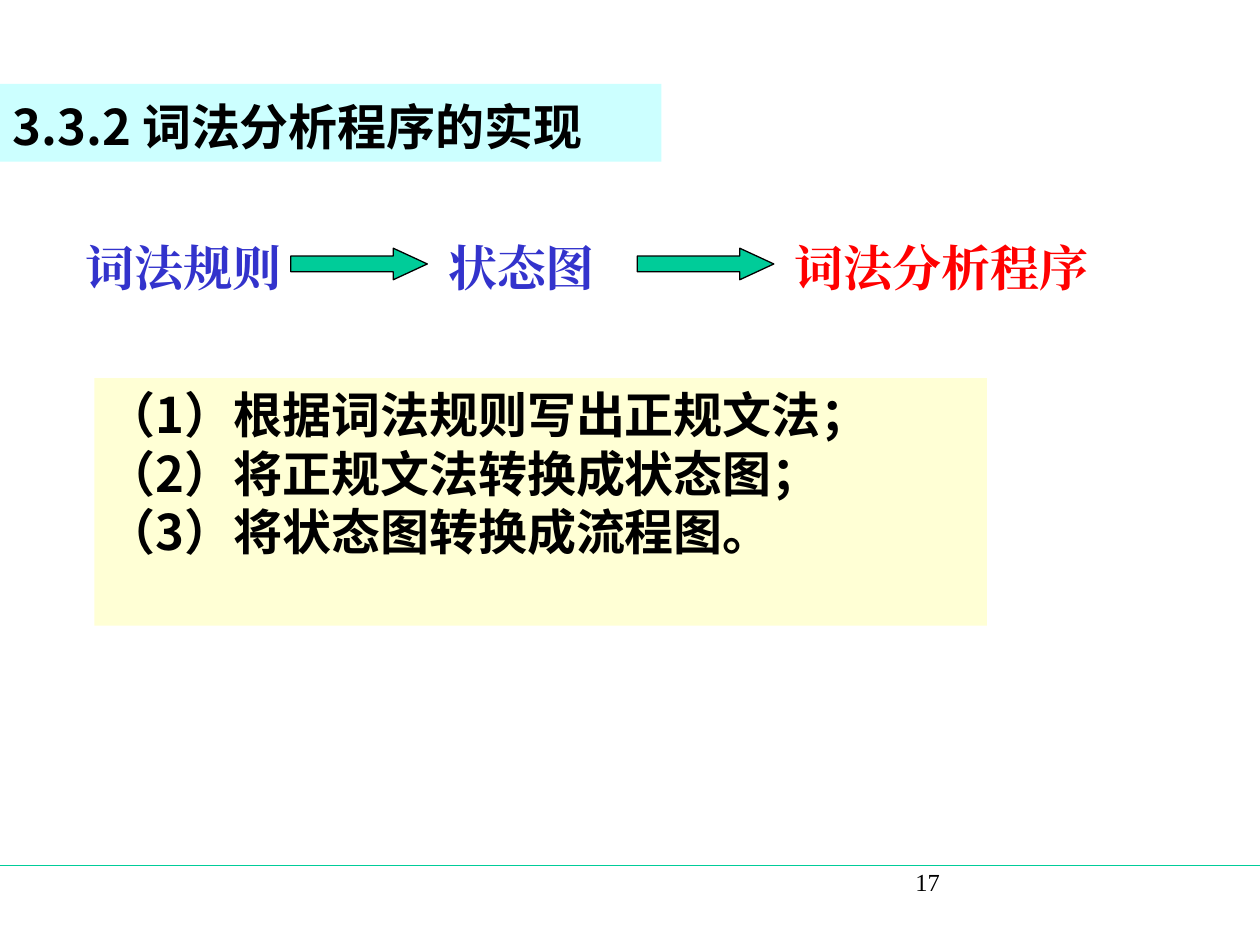
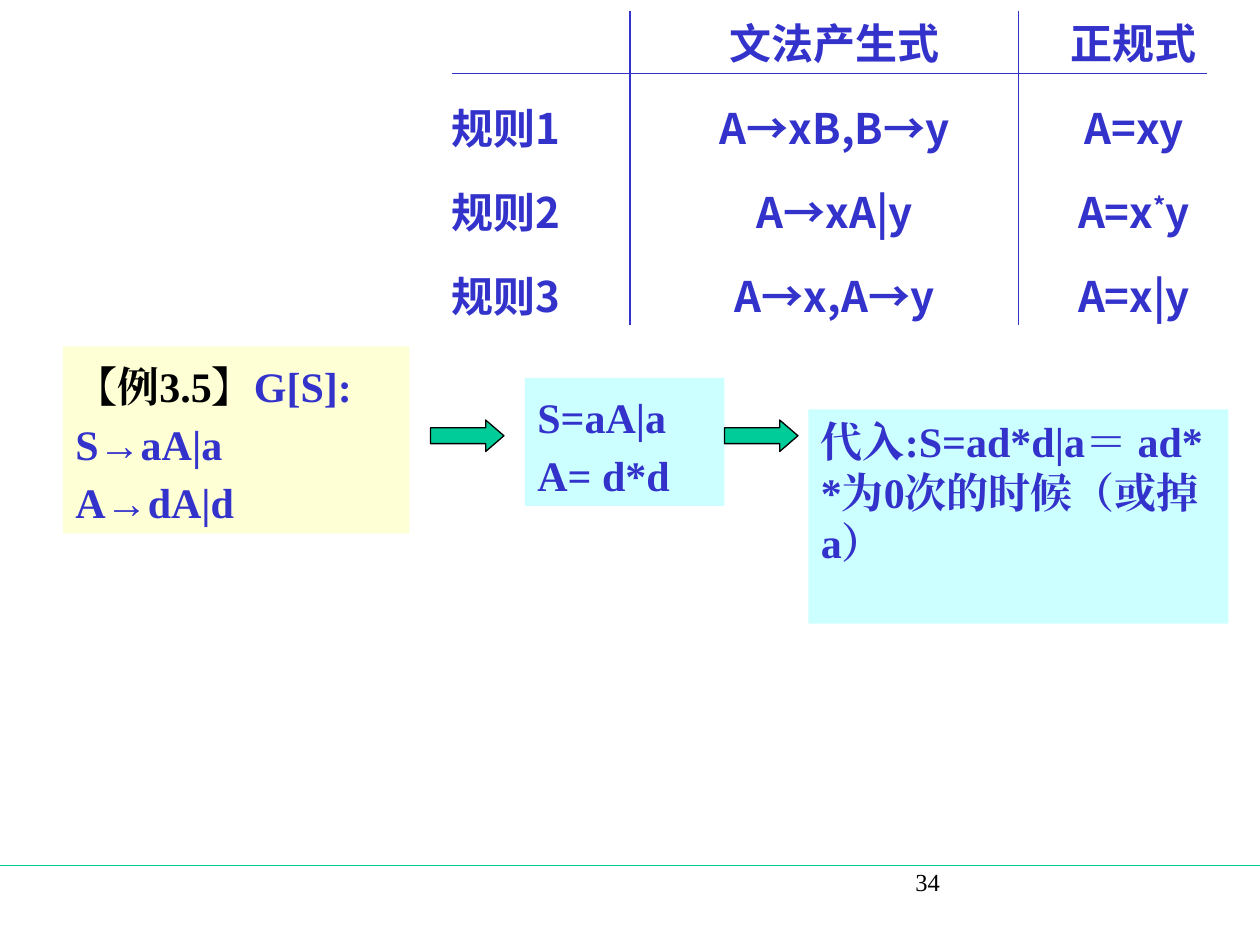
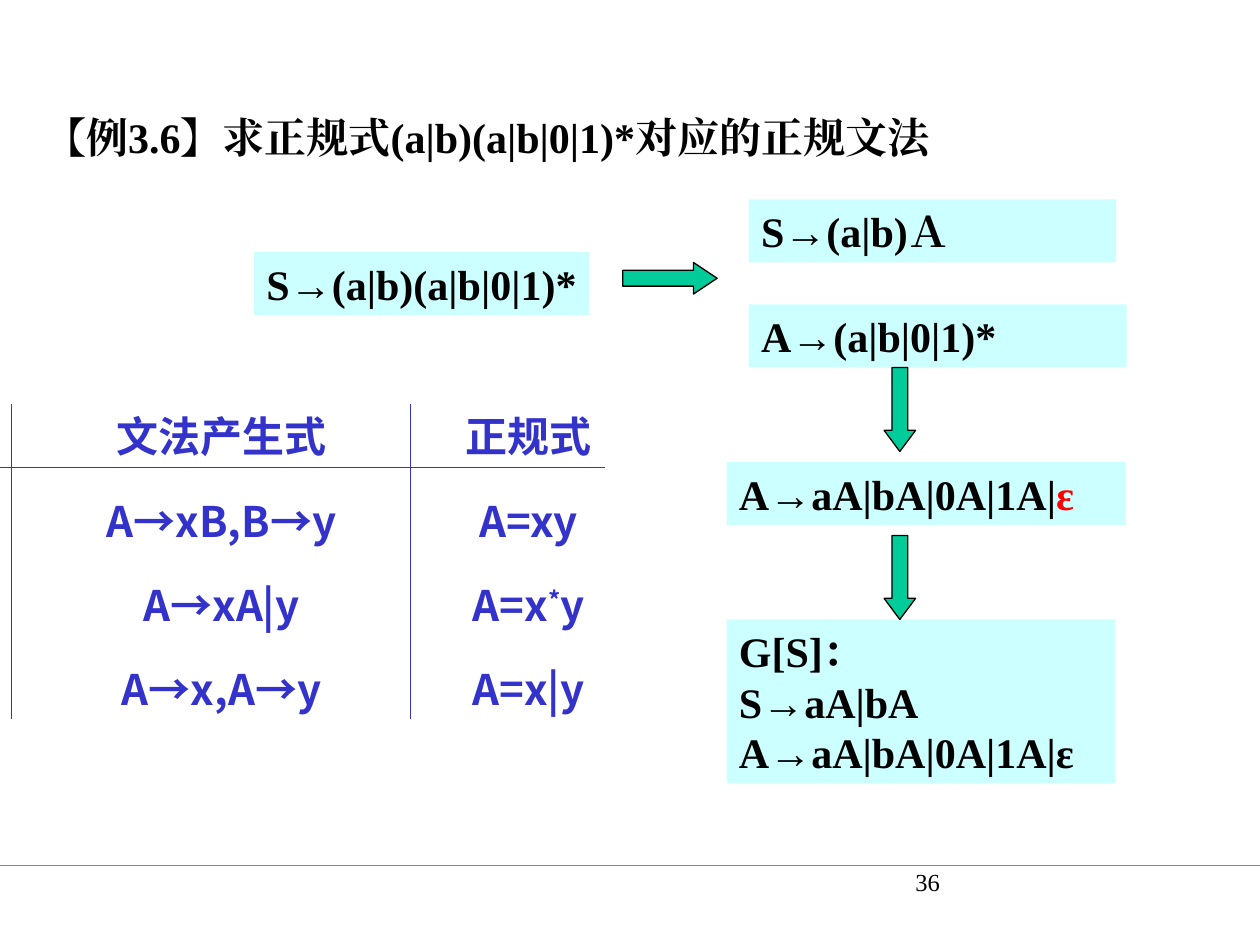
"""Build three slides on lexical analysis, regular grammars and regular expressions."""
import lxml.etree
import pptx
import pptx.dml.color
import pptx.enum.shapes
import pptx.enum.text
import pptx.oxml.ns
import pptx.util

UNIT = pptx.util.Inches(1) / 12  # grid of 120 columns by 90 rows
COLUMNS, ROWS = 120, 90
BLACK, BLUE, RED, GREEN = "000000", "3333CC", "FF0000", "00CC99"
CYAN, CREAM = "CCFFFF", "FFFFD5"
SERIF, SANS = "Times New Roman", "Noto Sans CJK SC"
NO_GRID_STYLE = "{2D5ABB26-0587-4C30-8999-92F81FD0307C}"
MSO_SHAPE = pptx.enum.shapes.MSO_SHAPE
ALIGN = pptx.enum.text.PP_ALIGN
ANCHOR = pptx.enum.text.MSO_ANCHOR
color_of = pptx.dml.color.RGBColor.from_string
qn = pptx.oxml.ns.qn


def write(frame, text, size=24, font=SERIF, color=BLACK, bold=True,
          align=ALIGN.LEFT, spacing=1.0, baseline=None):
    """Continue the last paragraph of a frame, starting a new one at each line break."""
    for number, line in enumerate(text.split("\n")):
        paragraph = frame.add_paragraph() if number else frame.paragraphs[-1]
        paragraph.alignment = align
        paragraph.line_spacing = spacing
        run = paragraph.add_run()
        run.text = line
        run.font.size = pptx.util.Pt(size)
        run.font.bold = bold
        run.font.name = font
        run.font.color.rgb = color_of(color)
        properties = run.font._element
        properties.set("lang", "zh-CN")
        if baseline:
            properties.set("baseline", str(baseline))
        lxml.etree.SubElement(properties, qn("a:ea"), typeface=font)


def draw(slide, box, kind=None, fill=None, outline=None):
    """Add a preset shape, or a plain text box without a kind, at a place on the grid."""
    place = [round(length * UNIT) for length in box]
    if kind is None:
        shape = slide.shapes.add_textbox(*place)
    else:
        shape = slide.shapes.add_shape(kind, *place)
        shape.shadow.inherit = False
        shape.fill.solid()
        shape.fill.fore_color.rgb = color_of(fill)
        if outline:
            shape.line.color.rgb = color_of(outline)
            shape.line.width = pptx.util.Pt(0.75)
        else:
            shape.line.fill.background()
    shape.text_frame.word_wrap = True
    shape.text_frame.vertical_anchor = ANCHOR.TOP
    return shape


presentation = pptx.Presentation()
presentation.slide_width = round(COLUMNS * UNIT)
presentation.slide_height = round(ROWS * UNIT)
title_only, blank = presentation.slide_layouts[5], presentation.slide_layouts[6]
slides = [presentation.slides.add_slide(layout) for layout in (title_only, blank, title_only)]
steps_slide, expression_slide, grammar_slide = slides

# Footers
footer_top = round(82.4 * UNIT)
for slide, number in zip(slides, ("17", "34", "36")):
    rule = slide.shapes.add_connector(pptx.enum.shapes.MSO_CONNECTOR.STRAIGHT,
                                      0, footer_top, presentation.slide_width, footer_top)
    rule.line.color.rgb = color_of(GREEN)
    rule.line.width = pptx.util.Pt(0.75)
    lxml.etree.SubElement(rule._element.spPr, qn("a:effectLst"))
    write(draw(slide, (86, 82, 25, 6)).text_frame, number, size=14, bold=False)

# Titles
for slide, box, text, size, font, anchor in (
    (steps_slide, (0, 8, 63, 7.4), "3.3.2 词法分析程序的实现", 28, SANS, ANCHOR.BOTTOM),
    (grammar_slide, (3, 10, 105, 6), "【例3.6】求正规式(a|b)(a|b|0|1)*对应的正规文法",
     24, SERIF, ANCHOR.TOP),
):
    title = slide.shapes.title
    title.left, title.top, title.width, title.height = [round(length * UNIT) for length in box]
    title.text_frame.auto_size = pptx.enum.text.MSO_AUTO_SIZE.NONE
    title.text_frame.word_wrap = True
    title.text_frame.vertical_anchor = anchor
    write(title.text_frame, text, size=size, font=font)
steps_slide.shapes.title.fill.solid()
steps_slide.shapes.title.fill.fore_color.rgb = color_of(CYAN)

# Chain from rules to program
for left, stage, color in ((7, "词法规则", BLUE), (41.5, "状态图", BLUE),
                           (74.5, "词法分析程序", RED)):
    label = draw(steps_slide, (left, 22, 4.67 * len(stage) + 3, 6.8))
    write(label.text_frame, stage, size=28, color=color)

# Filled boxes
for slide, box, fill, text, style in (
    (steps_slide, (9, 36, 85, 23.6), CREAM,
     "（1）根据词法规则写出正规文法；\n（2）将正规文法转换成状态图；\n（3）将状态图转换成流程图。",
     {"size": 28, "font": SANS}),
    (expression_slide, (6, 33, 33, 17.8), CREAM, "【例3.5】", {"spacing": 1.15}),
    (expression_slide, (50, 36, 19, 12.2), CYAN, "S=aA|a\nA= d*d",
     {"color": BLUE, "spacing": 1.15}),
    (expression_slide, (77, 39, 40, 20.4), CYAN,
     "代入:S=ad*d|a＝ ad*\n*为0次的时候（或掉a）", {"color": BLUE}),
    (grammar_slide, (24.2, 24, 31.9, 6), CYAN, "S→(a|b)(a|b|0|1)*", {"align": ALIGN.CENTER}),
    (grammar_slide, (71.3, 19, 35, 6), CYAN, "S→(a|b)Ａ", {}),
    (grammar_slide, (71.3, 29, 36, 6), CYAN, "A→(a|b|0|1)*", {}),
    (grammar_slide, (69.2, 44, 38, 6), CYAN, "A→aA|bA|0A|1A|", {}),
    (grammar_slide, (69.2, 59, 37, 15.6), CYAN, "G[S]：\nS→aA|bA\nA→aA|bA|0A|1A|ε", {}),
):
    frame = draw(slide, box, MSO_SHAPE.RECTANGLE, fill).text_frame
    write(frame, text, **style)
    if text == "【例3.5】":
        write(frame, "G[S]:\nS→aA|a\nA→dA|d", color=BLUE, spacing=1.15)
    elif text.endswith("1A|"):
        write(frame, "ε", color=RED)

# Block arrows
for slide, box, kind, head in (
    (steps_slide, (27.7, 23.64, 13, 3), MSO_SHAPE.RIGHT_ARROW, 1.08),
    (steps_slide, (60.7, 23.64, 13, 3), MSO_SHAPE.RIGHT_ARROW, 1.08),
    (expression_slide, (41, 40, 7, 3), MSO_SHAPE.RIGHT_ARROW, 0.58),
    (expression_slide, (69, 40, 7, 3), MSO_SHAPE.RIGHT_ARROW, 0.58),
    (grammar_slide, (59.3, 25, 9, 3), MSO_SHAPE.RIGHT_ARROW, 0.75),
    (grammar_slide, (84.2, 35, 3, 8), MSO_SHAPE.DOWN_ARROW, 0.67),
    (grammar_slide, (84.2, 51, 3, 8), MSO_SHAPE.DOWN_ARROW, 0.67),
):
    arrow = draw(slide, box, kind, GREEN, BLACK)
    arrow.adjustments[0], arrow.adjustments[1] = 0.5, head

# Conversion tables
conversions = (("文法产生式", "正规式"), ("A→xB,B→y", "A=xy"),
               ("A→xA|y", "A=x*y"), ("A→x,A→y", "A=x|y"))
row_heights = (6, 8, 8, 8)
body_indents = (0, 2, 4)
for slide, left, top, widths, labels in (
    (expression_slide, 43, 1, (17, 37, 18), ("", "规则1", "规则2", "规则3")),
    (grammar_slide, 0, 38.5, (1.1, 38, 18.5), ("", "", "", "")),
):
    place = [round(length * UNIT) for length in (left, top, sum(widths), sum(row_heights))]
    table_frame = slide.shapes.add_table(len(row_heights), len(widths), *place)
    table = table_frame.table
    table.first_row = table.horz_banding = False
    next(table_frame._element.iter(qn("a:tableStyleId"))).text = NO_GRID_STYLE
    for column, width in zip(table.columns, widths):
        column.width = round(width * UNIT)
    for row_index, (label, conversion) in enumerate(zip(labels, conversions)):
        table.rows[row_index].height = round(row_heights[row_index] * UNIT)
        for column_index, text in enumerate((label, *conversion)):
            cell = table.cell(row_index, column_index)
            cell.margin_right = cell.margin_bottom = 0
            cell.margin_left = round(body_indents[column_index] * UNIT)
            cell.margin_top = round(2 * UNIT) if row_index else 0
            cell.vertical_anchor = ANCHOR.MIDDLE if row_index else ANCHOR.TOP
            cell.fill.background()
            borders = ["a:lnR"] if column_index < 2 else []
            borders += ["a:lnB"] if row_index == 0 else []
            for position, tag in enumerate(borders):
                border = lxml.etree.Element(qn(tag), w=str(pptx.util.Pt(0.75)))
                fill = lxml.etree.SubElement(border, qn("a:solidFill"))
                lxml.etree.SubElement(fill, qn("a:srgbClr"), val=BLUE)
                cell._tc.get_or_add_tcPr().insert(position, border)
            align = ALIGN.CENTER if column_index else ALIGN.LEFT
            for piece in text.partition("*"):
                if piece:
                    write(cell.text_frame, piece, font=SANS, color=BLUE, align=align,
                          baseline=30000 if piece == "*" else None)

presentation.save("out.pptx")
